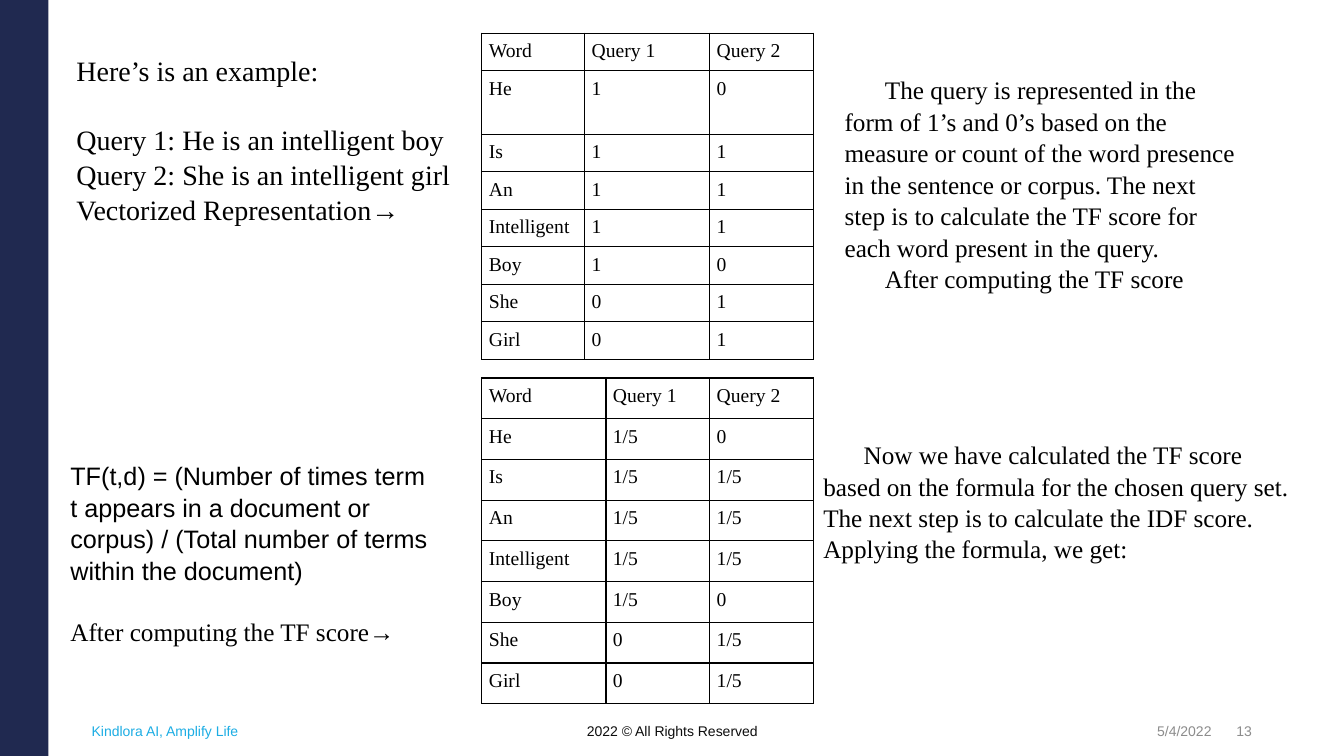
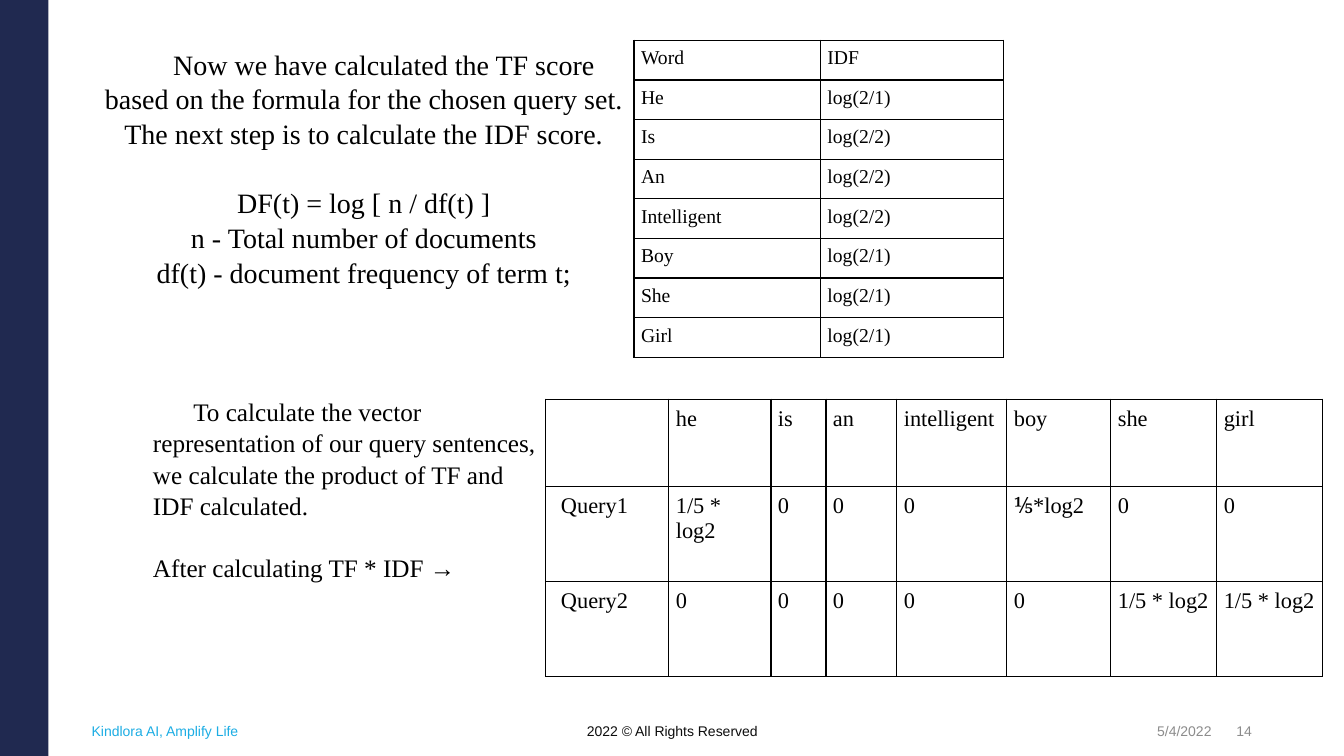
from lxml import etree
from pptx import Presentation
from pptx.dml.color import RGBColor
from pptx.enum.shapes import MSO_SHAPE
from pptx.enum.text import MSO_ANCHOR, PP_ALIGN
from pptx.oxml.ns import qn
from pptx.util import Pt

LEFT, CENTER, RIGHT = PP_ALIGN.LEFT, PP_ALIGN.CENTER, PP_ALIGN.RIGHT
TOP, MIDDLE = MSO_ANCHOR.TOP, MSO_ANCHOR.MIDDLE
RECTANGLE = MSO_SHAPE.RECTANGLE

SERIF, SANS = "Times New Roman", "Arial"
NAVY, BLACK, INK, GRAY, SKY = "202950", "000000", "0D0D0D", "8C8C8C", "1CADE4"
WIDTH, HEIGHT = 960, 540
INDENT = 28.8
LINE_SPACING = 1.04
WORDS = ["He", "Is", "An", "Intelligent", "Boy", "She", "Girl"]


def rgb(hex_color):
    return RGBColor.from_string(hex_color)


class Deck:
    """Shared style plus the slide being built; lengths are in points."""

    def __init__(self):
        self.prs = Presentation()
        self.prs.slide_width, self.prs.slide_height = Pt(WIDTH), Pt(HEIGHT)
        self.slide = None

    def new_slide(self, number):
        self.slide = self.prs.slides.add_slide(self.prs.slide_layouts[6])
        self.band()
        self.footer("2022 © All Rights Reserved", 372.2, 216, CENTER, INK)
        self.footer("5/4/2022", 649.4, 216, RIGHT, GRAY)
        self.footer("Kindlora AI, Amplify Life", 65.5, 121, LEFT, SKY)
        self.footer(str(number), 865.4, 28.8, RIGHT, GRAY)

    def band(self):
        band = self.slide.shapes.add_shape(RECTANGLE, 0, 0, Pt(34.6), Pt(HEIGHT))
        band.shadow.inherit = False
        band.fill.solid()
        band.fill.fore_color.rgb = rgb(NAVY)
        band.line.fill.background()

    def frame(self, left, top, width, height, anchor):
        box = self.slide.shapes.add_textbox(Pt(left), Pt(top), Pt(width), Pt(height))
        frame = box.text_frame
        frame.word_wrap = True
        frame.vertical_anchor = anchor
        return frame

    def style(self, paragraph, size, font=SERIF, color=BLACK, align=LEFT):
        paragraph.alignment = align
        paragraph.font.size = Pt(size)
        paragraph.font.name = font
        paragraph.font.color.rgb = rgb(color)

    def footer(self, text, left, width, align, color):
        frame = self.frame(left, 507.6, width, 28.8, MIDDLE)
        frame.margin_left = frame.margin_right = 0
        frame.margin_top = frame.margin_bottom = 0
        frame.text = text
        self.style(frame.paragraphs[0], 10, SANS, color, align)

    def prose(self, left, top, width, height, lines, size=18, align=LEFT, anchor=TOP):
        """Each line is (text, options); options: indent, gap (a line above), font."""
        frame = self.frame(left, top, width, height, anchor)
        for index, (text, options) in enumerate(lines):
            paragraph = frame.paragraphs[0] if index == 0 else frame.add_paragraph()
            paragraph.text = text
            paragraph.line_spacing = LINE_SPACING
            self.style(paragraph, size, options.get("font", SERIF), align=align)
            if options.get("gap"):
                paragraph.space_before = Pt(size * 1.2)
            if options.get("indent"):
                paragraph._p.get_or_add_pPr().set("indent", str(Pt(INDENT)))

    def table(self, left, top, columns, heights, rows, size=14, label_indent=0):
        shape = self.slide.shapes.add_table(
            len(rows), len(columns), Pt(left), Pt(top), Pt(sum(columns)), Pt(sum(heights)))
        table = shape.table
        table.first_row = table.horz_banding = False
        for column, width in zip(table.columns, columns):
            column.width = Pt(width)
        for row, height, texts in zip(table.rows, heights, rows):
            row.height = Pt(height)
            for cell, text in zip(row.cells, texts):
                self.cell(cell, text, size)
            first = row.cells[0].text_frame.paragraphs[0]
            if label_indent:
                first._p.get_or_add_pPr().set("marL", str(Pt(label_indent)))

    def cell(self, cell, text, size):
        cell.text = text
        cell.margin_left = cell.margin_right = Pt(5)
        cell.margin_top = cell.margin_bottom = Pt(5)
        self.style(cell.text_frame.paragraphs[0], size)
        properties = cell._tc.get_or_add_tcPr()
        for side in ("lnL", "lnR", "lnT", "lnB"):
            line = etree.SubElement(properties, qn("a:" + side), w=str(Pt(1)))
            fill = etree.SubElement(line, qn("a:solidFill"))
            etree.SubElement(fill, qn("a:srgbClr"), val=BLACK)
        cell.fill.background()


def word_rows(header, *value_columns):
    return [header, *zip(WORDS, *value_columns)]


def build_tf_slide(deck):
    deck.new_slide(13)

    # Example queries and their word counts
    deck.prose(47.5, 34, 300, 150, [
        ("Here’s is an example:", {}),
        ("Query 1: He is an intelligent boy", {"gap": True}),
        ("Query 2: She is an intelligent girl", {}),
        ("Vectorized Representation→", {}),
    ], size=20)
    in_query_1 = [1, 1, 1, 1, 1, 0, 0]
    in_query_2 = [0, 1, 1, 1, 0, 1, 1]
    header = ("Word", "Query 1", "Query 2")
    deck.table(344.2, 23.8, [73.5, 89.3, 74.2], [26.8, 45.2] + [26.8] * 6,
               word_rows(header, map(str, in_query_1), map(str, in_query_2)))
    deck.prose(596.2, 49, 298, 181, [
        ("The query is represented in the form of 1’s and 0’s based on the measure or "
         "count of the word presence in the sentence or corpus. The next step is to "
         "calculate the TF score for each word present in the query.", {"indent": True}),
        ("After computing the TF score", {"indent": True}),
    ])

    # TF formula and scores
    deck.prose(43.2, 324.7, 272.2, 138, [
        ("TF(t,d) = (Number of times term t appears in a document or corpus) / "
         "(Total number of terms within the document)", {"font": SANS}),
        ("After computing the TF score→", {"gap": True}),
    ])
    scores = [["1/5" if present else "0" for present in query]
              for query in (in_query_1, in_query_2)]
    deck.table(344.2, 270, [88.6, 74.2, 74.2], [29.1] * 8, word_rows(header, *scores))
    deck.prose(581, 309.5, 352.1, 167, [
        ("Now we have calculated the TF score based on the formula for the chosen "
         "query set.", {"indent": True}),
        ("The next step is to calculate the IDF score. Applying the formula, we get:", {}),
    ])


def build_idf_slide(deck):
    deck.new_slide(14)

    # IDF formula and values
    deck.prose(66.2, 28.8, 387.4, 181.4, [
        ("Now we have calculated the TF score based on the formula for the chosen "
         "query set.", {"indent": True}),
        ("The next step is to calculate the IDF score.", {}),
        ("DF(t) = log [ n / df(t) ]", {"gap": True}),
        ("n - Total number of documents", {}),
        ("df(t) - document frequency of term t;", {}),
    ], size=20, align=CENTER, anchor=MIDDLE)
    document_counts = [1, 2, 2, 2, 1, 1, 1]
    deck.table(452.9, 28.8, [133.2, 131], [28.3] * 8,
               word_rows(("Word", "IDF"), [f"log(2/{n})" for n in document_counts]))

    # Product of TF and IDF
    deck.prose(102.2, 278.5, 296.6, 181, [
        ("To calculate the vector representation of our query sentences, we calculate "
         "the product of TF and IDF calculated.", {"indent": True}),
        ("After calculating TF * IDF →", {"gap": True}),
    ])
    deck.table(389.9, 285.2, [87.9, 72.9, 39.3, 50.7, 78.6, 74.3, 75.7, 75.7],
               [62.2, 67.9, 67.9], [
        ["", *(word.lower() for word in WORDS)],
        ["Query1", "1/5 * log2", "0", "0", "0", "⅕*log2", "0", "0"],
        ["Query2", "0", "0", "0", "0", "0", "1/5 * log2", "1/5 * log2"],
    ], size=16, label_indent=5.8)


def main():
    deck = Deck()
    build_tf_slide(deck)
    build_idf_slide(deck)
    deck.prs.save("out.pptx")


if __name__ == "__main__":
    main()
